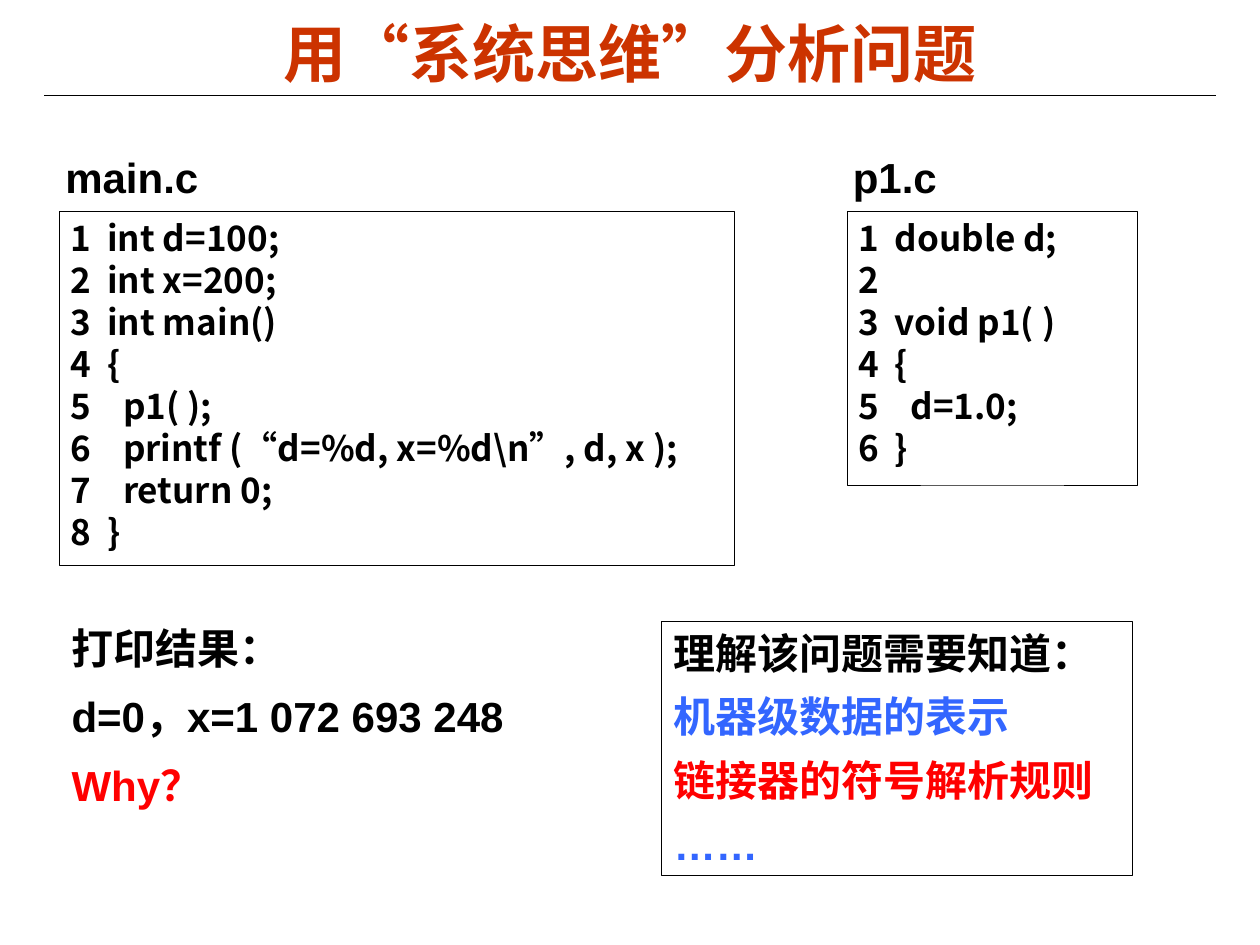
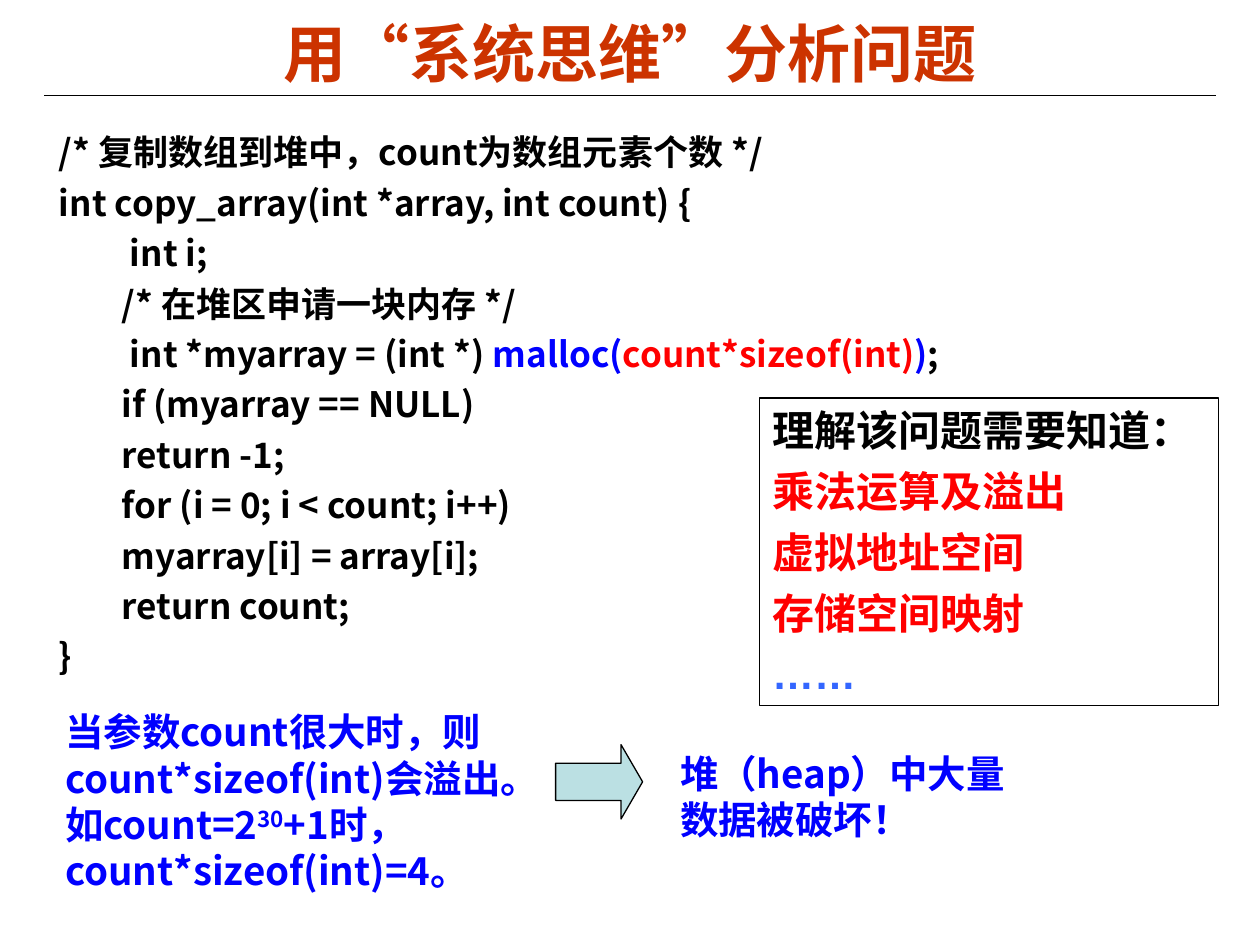
"""Builds two slides that analyse C programs with systems thinking."""
from lxml.etree import SubElement
from pptx import Presentation
from pptx.dml.color import RGBColor
from pptx.enum.shapes import MSO_CONNECTOR, MSO_SHAPE
from pptx.enum.text import MSO_ANCHOR, MSO_AUTO_SIZE, PP_ALIGN
from pptx.oxml.ns import qn
from pptx.util import Inches, Pt

LATIN, CJK = "Arial", "Noto Sans CJK SC"
BLACK, RED, BLUE, SKY = "000000", "FF0000", "0000FF", "3366FF"
RUST, AQUA = "CC3300", "BBE0E3"
TITLE = "用“系统思维”分析问题"
NEEDED = "理解该问题需要知道："


def rgb(value):
    return RGBColor.from_string(value)


def write_text(frame, paragraphs, size=24, font=LATIN, color=BLACK, align=PP_ALIGN.LEFT,
               anchor=MSO_ANCHOR.TOP, before=0, spacing=None, hanging=0, margins=(0.1, 0.05)):
    frame.word_wrap = True
    frame.auto_size = MSO_AUTO_SIZE.NONE
    frame.vertical_anchor = anchor
    frame.margin_left = frame.margin_right = Inches(margins[0])
    frame.margin_top = frame.margin_bottom = Inches(margins[1])
    for index, pieces in enumerate(paragraphs):
        paragraph = frame.add_paragraph() if index else frame.paragraphs[0]
        properties = paragraph._p.get_or_add_pPr()
        if hanging:
            properties.set("marL", str(Inches(hanging)))
            properties.set("indent", str(-Inches(hanging)))
            stops = SubElement(properties, qn("a:tabLst"))
            SubElement(stops, qn("a:tab"), pos="0", algn="l")
        paragraph.alignment = align
        if spacing:
            paragraph.line_spacing = spacing
        if index:
            paragraph.space_before = Pt(before)
        if isinstance(pieces, str):
            pieces = [(pieces, color)]
        for text, run_color, *raised in pieces:
            run = paragraph.add_run()
            run.text = text
            run.font.size = Pt(size)
            run.font.bold = True
            run.font.name = font
            run.font.color.rgb = rgb(run_color)
            run_properties = run._r.get_or_add_rPr()
            SubElement(run_properties, qn("a:ea"), typeface=CJK)
            if raised:
                run_properties.set("baseline", "30000")


class Deck:
    def __init__(self):
        self.presentation = Presentation()
        self.presentation.slide_width = Inches(10)
        self.presentation.slide_height = Inches(7.5)
        self.slide = None

    def new_slide(self, title):
        self.slide = self.presentation.slides.add_slide(self.presentation.slide_layouts[5])
        heading = self.slide.shapes.title
        heading.left, heading.top = Inches(0.5), Inches(0.11)
        heading.width, heading.height = Inches(9), Inches(0.61)
        write_text(heading.text_frame, [title], size=36, color=RUST,
                   align=PP_ALIGN.CENTER, anchor=MSO_ANCHOR.MIDDLE)
        self.rule(0.35, 9.65, 0.76)

    def rule(self, start, end, y):
        rule = self.slide.shapes.add_connector(
            MSO_CONNECTOR.STRAIGHT, Inches(start), Inches(y), Inches(end), Inches(y))
        rule.line.color.rgb = rgb(BLACK)
        rule.line.width = Pt(0.75)
        SubElement(rule._element.spPr, qn("a:effectLst"))

    def text(self, area, paragraphs, **style):
        box = self.slide.shapes.add_textbox(*map(Inches, area))
        write_text(box.text_frame, paragraphs, **style)

    def shape(self, kind, area, fill=None, line_width=0.75):
        shape = self.slide.shapes.add_shape(kind, *map(Inches, area))
        shape.shadow.inherit = False
        if fill:
            shape.fill.solid()
            shape.fill.fore_color.rgb = rgb(fill)
        else:
            shape.fill.background()
        shape.line.color.rgb = rgb(BLACK)
        shape.line.width = Pt(line_width)
        return shape

    def frame(self, area, paragraphs, line_width=0.75, **style):
        frame = self.shape(MSO_SHAPE.RECTANGLE, area, line_width=line_width)
        write_text(frame.text_frame, paragraphs, **style)

    def listing(self, area, file_name, lines):
        left, top, width, _ = area
        self.text((left - 0.05, top - 0.59, width, 0.64), [file_name], spacing=1.15)
        self.frame(area, [f"{number}  {line}".rstrip() for number, line in enumerate(lines, 1)],
                   line_width=0.25, size=20, font=CJK, margins=(0.09, 0.04))

    def arrow(self, area, fill):
        arrow = self.shape(MSO_SHAPE.RIGHT_ARROW, area, fill)
        arrow.adjustments[0], arrow.adjustments[1] = 0.5, 0.29


def linker_slide(deck):
    deck.new_slide(TITLE)
    deck.listing((0.47, 1.68, 5.36, 2.81), "main.c", [
        "int d=100;", "int x=200;", "int main()", "{", "  p1( );",
        "  printf (“d=%d, x=%d\\n”, d, x );", "  return 0;", "}"])
    deck.listing((6.72, 1.68, 2.31, 2.17), "p1.c", [
        "double d;", "", "void p1( )", "{", "  d=1.0;", "}"])
    deck.text((0.47, 4.83, 4.43, 1.87),
              ["打印结果：", "d=0，x=1 072 693 248", [("Why？", RED)]],
              before=6, spacing=1.15)
    deck.frame((5.25, 4.93, 3.74, 2.02), [
        NEEDED, [("机器级数据的表示", SKY)], [("链接器的符号解析规则", RED)], [("……", SKY)]],
        before=7.5)


def overflow_slide(deck):
    deck.new_slide(TITLE)
    deck.text((0.37, 0.94, 9, 4.9), [
        "/* 复制数组到堆中，count为数组元素个数 */",
        "int copy_array(int *array, int count) {",
        "\t int i;",
        "\t/* 在堆区申请一块内存 */",
        [("\t int *myarray = (int *) ", BLACK), ("malloc(", BLUE),
         ("count*sizeof(int)", RED), (")", BLUE), (";", BLACK)],
        "\tif (myarray == NULL)",
        "\treturn -1;",
        "\tfor (i = 0; i < count; i++)",
        "\tmyarray[i] = array[i];",
        "\treturn count;",
        "}"], size=20, font=CJK, before=1.2, spacing=1.15, hanging=0.5)
    remark = dict(size=22, font=CJK, color=BLUE, anchor=MSO_ANCHOR.MIDDLE)
    deck.text((0.42, 5.57, 4.09, 1.57), [[
        ("当参数count很大时，则count*sizeof(int)会溢出。如count=2", BLUE),
        ("30", BLUE, True), ("+1时， count*sizeof(int)=4。", BLUE)]], **remark)
    deck.arrow((4.41, 5.91, 0.69, 0.59), AQUA)
    deck.text((5.3, 5.9, 2.9, 0.84), ["堆（heap）中大量数据被破坏！"], **remark)
    topics = ["乘法运算及溢出", "虚拟地址空间", "存储空间映射"]
    deck.frame((6.03, 3.16, 3.64, 2.44),
               [NEEDED, *([(topic, RED)] for topic in topics), [("……", SKY)]], before=6)


def main():
    deck = Deck()
    linker_slide(deck)
    overflow_slide(deck)
    deck.presentation.save("out.pptx")


if __name__ == "__main__":
    main()
